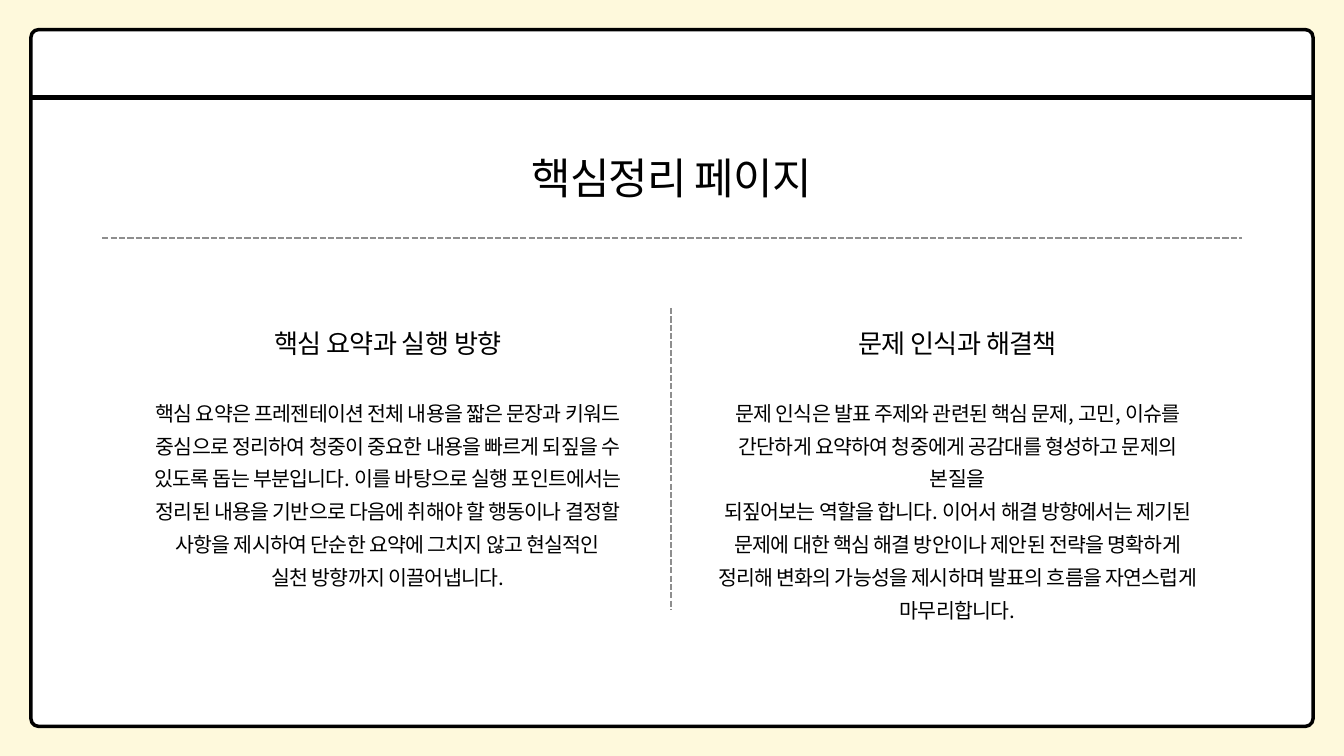
from lxml import etree
from pptx import Presentation
from pptx.dml.color import RGBColor
from pptx.enum import dml, shapes, text
from pptx.oxml.ns import qn
from pptx.util import Pt

CREAM = RGBColor(0xFE, 0xF9, 0xDC)
WHITE = RGBColor(0xFF, 0xFF, 0xFF)
BLACK = RGBColor(0, 0, 0)
GREY = RGBColor(0x8E, 0x8E, 0x8E)
FONT = "Noto Sans CJK KR"

deck = Presentation()
deck.slide_width, deck.slide_height = Pt(1440), Pt(810)
slide = deck.slides.add_slide(deck.slide_layouts[6])
slide.background.fill.solid()
slide.background.fill.fore_color.rgb = CREAM


def add_line(x1, y1, x2, y2, color, width, dash=None):
    line = slide.shapes.add_connector(
        shapes.MSO_CONNECTOR.STRAIGHT, Pt(x1), Pt(y1), Pt(x2), Pt(y2))
    line.line.color.rgb = color
    line.line.width = Pt(width)
    line.line.dash_style = dash
    etree.SubElement(line._element.spPr, qn("a:effectLst"))


def add_text(x, y, w, h, paras, size, lead, track):
    """Add centred text; lead is line spacing, track is letter spacing."""
    box = slide.shapes.add_textbox(Pt(x), Pt(y), Pt(w), Pt(h))
    frame = box.text_frame
    frame.word_wrap = True
    frame.auto_size = text.MSO_AUTO_SIZE.SHAPE_TO_FIT_TEXT
    frame.margin_left = frame.margin_right = 0
    frame.margin_top = frame.margin_bottom = 0
    frame.text = "\n".join(paras)
    for para in frame.paragraphs:
        para.alignment = text.PP_ALIGN.CENTER
        para.line_spacing = Pt(lead)
        font = para.font
        font.size = Pt(size)
        font.color.rgb = BLACK
        font.name = FONT
        font._element.set("spc", str(round(track * 100)))
        etree.SubElement(font._element, qn("a:ea"), typeface=FONT)


# Window frame with its title bar
left, top, right, high = 33.12, 31.68, 1406.88, 746.64
frame = slide.shapes.add_shape(
    shapes.MSO_SHAPE.ROUNDED_RECTANGLE,
    Pt(left), Pt(top), Pt(right - left), Pt(high))
frame.adjustments[0] = 8.4 / high
frame.shadow.inherit = False
frame.fill.solid()
frame.fill.fore_color.rgb = WHITE
frame.line.color.rgb = BLACK
frame.line.width = Pt(3.75)
add_line(left, 104.5, right, 104.5, BLACK, 4.96)

# Heading and dashed rules
add_text(384.5, 153.5, 670, 62, ["핵심정리 페이지"], 46, 64.4, -0.9)
DASH = dml.MSO_LINE.SQUARE_DOT  # saved as sysDot, so set by value below
DASH = next(d for d in dml.MSO_LINE if dml.MSO_LINE.to_xml(d) == "sysDash")
add_line(109.5, 255, 1330.5, 255, GREY, 2.25, DASH)
add_line(718.6, 330, 718.6, 654, GREY, 2.25, DASH)

# Two columns
columns = [
    (109.5, "핵심 요약과 실행 방향", [
        "핵심 요약은 프레젠테이션 전체 내용을 짧은 문장과 키워드 중심으로 "
        "정리하여 청중이 중요한 내용을 빠르게 되짚을 수 있도록 돕는 "
        "부분입니다. 이를 바탕으로 실행 포인트에서는 정리된 내용을 기반으로 "
        "다음에 취해야 할 행동이나 결정할 사항을 제시하여 단순한 요약에 "
        "그치지 않고 현실적인",
        "실천 방향까지 이끌어냅니다."]),
    (720, "문제 인식과 해결책", [
        "문제 인식은 발표 주제와 관련된 핵심 문제, 고민, 이슈를 간단하게 "
        "요약하여 청중에게 공감대를 형성하고 문제의 본질을",
        "되짚어보는 역할을 합니다. 이어서 해결 방향에서는 제기된 문제에 대한 "
        "핵심 해결 방안이나 제안된 전략을 명확하게 정리해 변화의 가능성을 "
        "제시하며 발표의 흐름을 자연스럽게",
        "마무리합니다."]),
]
for x, title, body in columns:
    add_text(x, 345.5, 612, 39.5, [title], 28, 39.2, -0.6)
    add_text(x + 39.6, 420.5, 532.8, 205, body, 22, 35.2, -0.7)

deck.save("out.pptx")
